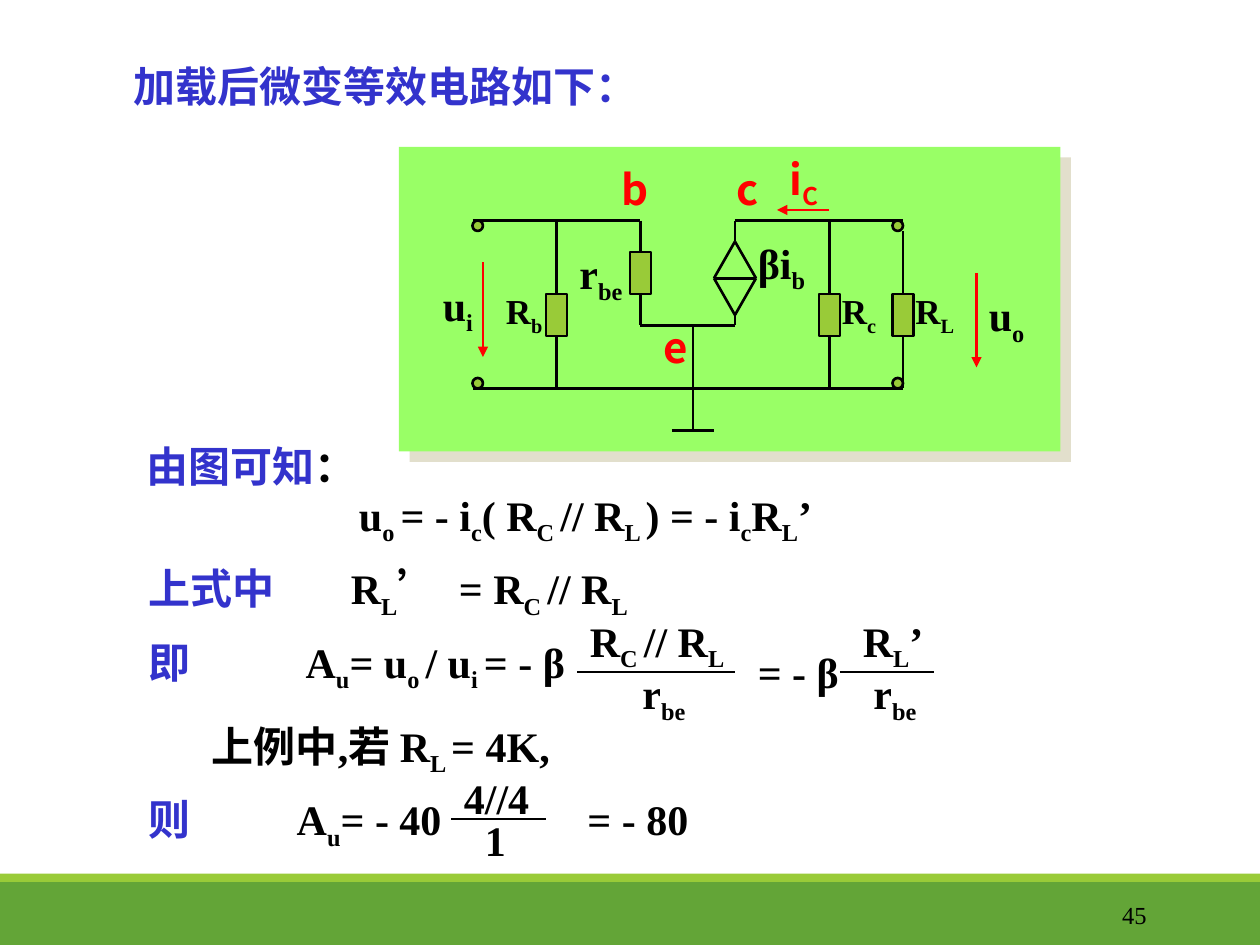
import dataclasses

import lxml.etree
import pptx
import pptx.dml.color
import pptx.enum.shapes
import pptx.enum.text
import pptx.oxml.ns
import pptx.util

Cm = pptx.util.Cm
Pt = pptx.util.Pt
SHAPE = pptx.enum.shapes.MSO_SHAPE
ALIGN = pptx.enum.text.PP_ALIGN
ANCHOR = pptx.enum.text.MSO_ANCHOR
FIT = pptx.enum.text.MSO_AUTO_SIZE


@dataclasses.dataclass(frozen=True)
class Theme:
    latin: str = "Times New Roman"
    cjk: str = "Noto Sans CJK SC"
    body: int = 24
    label: int = 20
    number: int = 14
    ink: str = "000000"
    blue: str = "3333CC"
    red: str = "FF0000"
    green: str = "63A537"
    lime: str = "99CB38"
    panel: str = "99FF66"
    shadow: str = "E2DFCC"


THEME = Theme()


def grid(n):
    return Cm(n * 2.54 / 12)


def rgb(color):
    return pptx.dml.color.RGBColor.from_string(color)


def apply(target, values):
    for name, value in values.items():
        setattr(target, name, value)


def child(parent, tag, **attrs):
    element = lxml.etree.SubElement(parent, pptx.oxml.ns.qn(tag))
    for name, value in attrs.items():
        element.set(name, str(value))
    return element


def add_run(p, text, size, color, font, bold, sub=False):
    r = p.add_run()
    r.text = text
    apply(r.font, dict(size=Pt(size), bold=bold, name=font))
    r.font.color.rgb = rgb(color)
    rpr = r.font._element
    child(rpr, "a:ea", typeface=THEME.cjk)
    if sub:
        rpr.set("baseline", "-25000")


def add_text(shapes, box, parts, size=THEME.body, font=THEME.latin, bold=True,
             wrap=True, inset=True, tabs=(), align=ALIGN.LEFT,
             anchor=ANCHOR.TOP, fit=FIT.SHAPE_TO_FIT_TEXT):
    tf = shapes.add_textbox(*map(grid, box)).text_frame
    apply(tf, dict(word_wrap=wrap, auto_size=fit, vertical_anchor=anchor))
    if not inset:
        apply(tf, dict(margin_left=0, margin_right=0, margin_top=0, margin_bottom=0))
    p = tf.paragraphs[0]
    p.alignment = align
    if tabs:
        stops = child(p._p.get_or_add_pPr(), "a:tabLst")
        for tab in tabs:
            child(stops, "a:tab", pos=Cm(tab), algn="l")
    for text, color, *special in parts:
        for i, piece in enumerate(text.split("|")):
            if piece:
                add_run(p, piece, size, color, special[0] if special else font,
                        bold, i % 2 == 1)


def add_block(shapes, kind, box, fill, line=None):
    sp = shapes.add_shape(kind, *map(grid, box))
    sp.shadow.inherit = False
    sp.fill.solid()
    sp.fill.fore_color.rgb = rgb(fill)
    if line:
        sp.line.color.rgb = rgb(line)
        sp.line.width = Pt(1.5)
    else:
        sp.line.fill.background()
    return sp


def add_line(shapes, ends, color=THEME.ink, width=1.5, arrow=False):
    straight = pptx.enum.shapes.MSO_CONNECTOR.STRAIGHT
    cx = shapes.add_connector(straight, *map(grid, ends))
    cx.line.color.rgb = rgb(color)
    cx.line.width = Pt(width)
    if arrow:
        child(cx.line._get_or_add_ln(), "a:tailEnd", type="triangle")
    child(cx._element.spPr, "a:effectLst")


def add_fraction(shapes, bar, top, bottom, **style):
    add_line(shapes, bar, width=0.75)
    for box, text in (top, bottom):
        add_text(shapes, box, [(text, THEME.ink)], **style)


def add_panel(shapes):
    sp = add_block(shapes, SHAPE.RECTANGLE, (38, 14, 63, 29), THEME.panel)
    effects = sp._element.spPr.find(pptx.oxml.ns.qn("a:effectLst"))
    shadow = child(effects, "a:outerShdw", blurRad=0, dist=Pt(8.5),
                   dir=45 * 60000, algn="ctr", rotWithShape=0)
    child(shadow, "a:srgbClr", val=THEME.shadow)


def add_circuit(shapes):
    add_panel(shapes)
    wires = [
        (61, 21, 61, 31), (61, 31, 70, 31), (70, 30, 70, 31), (70, 21, 70, 23),
        (66, 31, 66, 41), (45, 21, 61, 21), (45, 37, 86, 37), (53, 21, 53, 37),
        (70, 21, 86, 21), (79, 21, 79, 37), (86, 22, 86, 37),
    ]
    source = [(x, 26.5, 70, y) for x in (68, 72) for y in (23, 30)]
    for ends in wires + source + [(68, 26.5, 72, 26.5)]:
        add_line(shapes, ends)
    add_line(shapes, (64, 41, 68, 41), width=2.25)
    for x in (45, 85):
        for y in (21, 36):
            add_block(shapes, SHAPE.OVAL, (x, y, 1, 1), THEME.lime, THEME.ink)
    for x, y in ((60, 24), (52, 28), (78, 28), (85, 28)):
        add_block(shapes, SHAPE.RECTANGLE, (x, y, 2, 4), THEME.lime, THEME.ink)
    for ends in ((46, 25, 46, 34), (93, 26, 93, 35), (79, 20, 74, 20)):
        add_line(shapes, ends, THEME.red, arrow=True)
    for box, text in (((58, 15, 5, 6), "b"), ((69, 15, 6, 6), "c"),
                      ((62, 30, 6, 6), "e"), ((74, 14, 8, 6), "i|C")):
        add_text(shapes, box, [(text, THEME.red)], font=THEME.cjk)
    for box, text in (((54, 23, 7, 6), "r|be"), ((71, 22, 9, 9.2), "βi|b")):
        add_text(shapes, box, [(text, THEME.ink)])
    for box, text in (((41, 26, 5.4, 6), "u|i"), ((93, 27, 6, 6), "u|o")):
        add_text(shapes, box, [(text, THEME.ink)], wrap=False)
    for x, width, text in ((47, 6, "R|b"), (79, 5.8, "R|c"), (86, 6.2, "R|L")):
        add_text(shapes, (x, 27, width, 5.2), [(text, THEME.ink)],
                 THEME.label, wrap=False)


def add_gain(shapes):
    add_text(shapes, (13, 60, 63, 6),
             [("即\t", THEME.blue), ("A|u|= u|o |/ u|i |= - β", THEME.ink)], tabs=[3.16])
    add_fraction(shapes, (55, 64, 70, 64), ((55, 58, 15.7, 6), "R|C |// R|L"),
                 ((60, 63, 6.8, 6), "r|be"), wrap=False)
    add_text(shapes, (71, 61, 12, 6), [("= - β", THEME.ink)], wrap=False)
    add_fraction(shapes, (80, 64, 89, 64), ((81, 58, 8.4, 6), "R|L|’"),
                 ((82, 63, 6.8, 6), "r|be"), wrap=False)


def add_result(shapes):
    add_text(shapes, (13, 75, 68, 6),
             [("则\t", THEME.blue), ("A|u|= - 40\t= - 80", THEME.ink)],
             tabs=[2.98, 8.84])
    add_fraction(shapes, (43, 78, 52, 78), ((43, 73, 12, 6), "4//4"),
                 ((45, 77, 6, 6), "1"))


def main():
    prs = pptx.Presentation()
    apply(prs, dict(slide_width=Cm(25.4), slide_height=Cm(19.05)))
    s = prs.slides.add_slide(prs.slide_layouts[6])
    shapes = s.shapes
    add_block(shapes, SHAPE.RECTANGLE, (0, 84, 120, 6), THEME.green)
    add_block(shapes, SHAPE.RECTANGLE, (0, 83.2, 120, 0.8), THEME.lime)
    add_text(shapes, (97.4, 84.7, 13, 4.8), [("45", THEME.ink)], THEME.number,
             bold=False, align=ALIGN.RIGHT, anchor=ANCHOR.MIDDLE, fit=FIT.NONE)
    heading = dict(font=THEME.cjk, wrap=False, inset=False)
    add_text(shapes, (12.7, 5.8, 48.2, 4.8),
             [("加载后微变等效电路如下：", THEME.blue)], **heading)
    add_text(shapes, (14, 42, 20.2, 4.8),
             [("由图可知", THEME.blue), ("：", THEME.ink)], **heading)
    add_circuit(shapes.add_group_shape().shapes)
    add_text(shapes, (33, 46, 51, 6),
             [("u|o |= - i|c|( R|C |// R|L |) = - i|c|R|L|’", THEME.ink)])
    add_text(shapes, (13, 53, 52, 6),
             [("上式中\t", THEME.blue), ("R|L", THEME.ink),
              ("’", THEME.ink, THEME.cjk), ("\t= R|C |// R|L", THEME.ink)],
             tabs=[4.07, 6.25])
    add_gain(shapes.add_group_shape().shapes)
    add_text(shapes, (19, 68, 47, 6), [("上例中,若 R|L |= 4K,", THEME.ink)])
    add_result(shapes.add_group_shape().shapes)
    prs.save("out.pptx")


if __name__ == "__main__":
    main()
